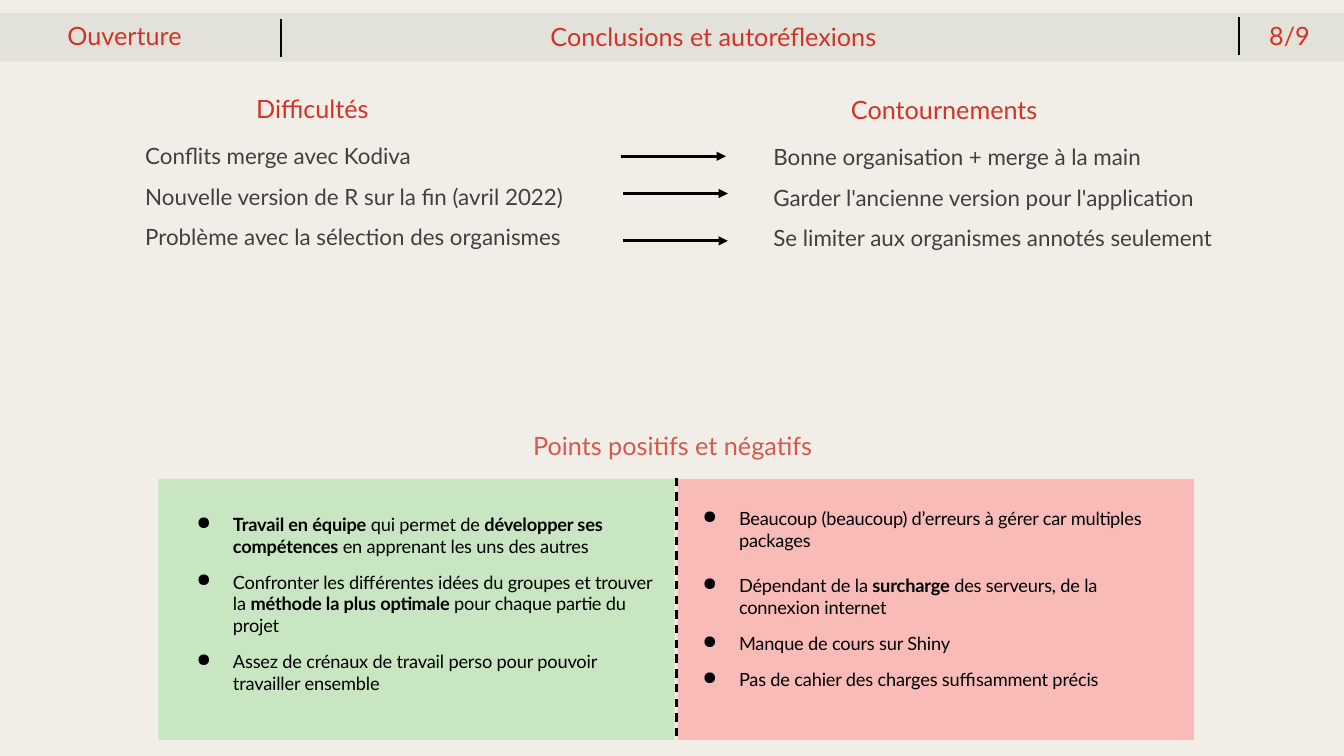
from lxml import etree
from pptx import Presentation, util as u
from pptx.dml.color import RGBColor
from pptx.enum import dml, shapes, text
from pptx.oxml.ns import qn

WIDTH, HEIGHT = 13.33, 7.5
RED, GREY, BLACK = "D23328", "404040", "000000"
LABEL_HEIGHT = 0.4
PANEL_WIDTH, PANEL_HEIGHT, PANEL_TOP = 5.12, 2.59, 4.75

deck = Presentation()
deck.slide_width, deck.slide_height = u.Inches(WIDTH), u.Inches(HEIGHT)
slide = deck.slides.add_slide(deck.slide_layouts[4])
slide.background.fill.solid()
slide.background.fill.fore_color.rgb = RGBColor.from_string("F1EEE7")
title, difficulty_head, difficulties, workaround_head, workarounds = slide.placeholders


def write(area, box, lines, size, colour, bullet=None, line_spacing=1, gaps=()):
    """Fill a text area; pieces between ** marks are bold, gaps are points before each line."""
    area.left, area.top, area.width, area.height = map(u.Inches, box)
    frame = area.text_frame
    frame.text = "\n".join(lines)
    frame.word_wrap = bool(bullet)
    frame.auto_size = text.MSO_AUTO_SIZE.NONE
    frame.vertical_anchor = text.MSO_ANCHOR.TOP
    if bullet:
        frame.margin_left = frame.margin_right = frame.margin_bottom = 0
        frame.margin_top = u.Inches(0.02)
    for row, paragraph in enumerate(frame.paragraphs):
        properties = paragraph._p.get_or_add_pPr()
        properties.set("marL", str(u.Inches(0.37) if bullet else 0))
        properties.set("indent", str(u.Inches(-0.36) if bullet else 0))
        if bullet:
            etree.SubElement(properties, qn("a:buChar")).set("char", bullet)
        else:
            etree.SubElement(properties, qn("a:buNone"))
        paragraph.alignment = text.PP_ALIGN.LEFT
        paragraph.line_spacing = line_spacing
        paragraph.space_before = u.Pt(gaps[row] if gaps else 0)
        pieces = paragraph.text.split("**")
        paragraph.clear()
        for number, piece in enumerate(pieces):
            if not piece:
                continue
            run = paragraph.add_run()
            run.text = piece
            run.font.name, run.font.size = "Lato", u.Pt(size)
            run.font.bold = number % 2 == 1
            run.font.color.rgb = RGBColor.from_string(colour)
            if bullet:
                run._r.get_or_add_rPr().set("spc", "-10")


def draw_line(start, end, weight):
    line = slide.shapes.add_connector(
        shapes.MSO_CONNECTOR.STRAIGHT, *map(u.Inches, (*start, *end)))
    line.line.color.rgb = RGBColor.from_string(BLACK)
    line.line.width = u.Pt(weight)
    etree.SubElement(line._element.spPr, qn("a:effectLst"))
    return line


# Header band and the two panels, placed behind the text
blocks = [
    ((0, 0.13, WIDTH, 0.48), "E2E2DA", 100),
    ((1.57, PANEL_TOP, PANEL_WIDTH, PANEL_HEIGHT), "A9E1A5", 55),
    ((6.72, PANEL_TOP, PANEL_WIDTH, PANEL_HEIGHT), "FF9696", 57),
]
for box, colour, opacity in blocks:
    block = slide.shapes.add_shape(shapes.MSO_SHAPE.RECTANGLE, *map(u.Inches, box))
    block.shadow.inherit = False
    block.line.fill.background()
    block.fill.solid()
    block.fill.fore_color.rgb = RGBColor.from_string(colour)
    if opacity < 100:
        fill_colour = block._element.spPr.find(".//" + qn("a:srgbClr"))
        etree.SubElement(fill_colour, qn("a:alpha")).set("val", str(opacity * 1000))
    slide.shapes._spTree.insert(2, block._element)

# Header and section labels
section, page, balance_head = [slide.shapes.add_textbox(0, 0, 0, 0) for _ in range(3)]
labels = [
    (section, 0.57, 0.15, 1.41, "Ouverture", RED),
    (title, 5.36, 0.16, 3.56, "Conclusions et autoréflexions", RED),
    (page, 12.49, 0.15, 0.64, "8/9", RED),
    (difficulty_head, 2.44, 0.88, 1.34, "Difficultés", RED),
    (workaround_head, 8.34, 0.89, 2.08, "Contournements", RED),
    (balance_head, 5.19, 4.22, 3.07, "Points positifs et négatifs", "D6584E"),
]
for area, left, top, width, label, colour in labels:
    write(area, (left, top, width, LABEL_HEIGHT), [label], 18, colour)
for x, top in [(2.79, 0.19), (12.29, 0.17)]:
    draw_line((x, top), (x, top + 0.38), 1.5)

# Difficulties and their workarounds
write(difficulties, (1.34, 1.23, 4.55, 1.26), [
    "Conflits merge avec Kodiva",
    "Nouvelle version de R sur la fin (avril 2022)",
    "Problème avec la sélection des organismes",
], 16, GREY, line_spacing=1.5)
write(workarounds, (7.57, 1.24, 4.83, 1.26), [
    "Bonne organisation + merge à la main",
    "Garder l'ancienne version pour l'application",
    "Se limiter aux organismes annotés seulement",
], 16, GREY, line_spacing=1.5)
for x, y in [(6.16, 1.55), (6.18, 1.92), (6.18, 2.39)]:
    arrow = draw_line((x, y), (x + 1.04, y), 2.25)
    etree.SubElement(arrow.line._get_or_add_ln(), qn("a:tailEnd")).set("type", "triangle")

# Positive and negative points
divider = draw_line((6.71, 4.74), (6.71, 7.33), 1.5)
divider.line.dash_style = dml.MSO_LINE.DASH
positives, negatives = [slide.shapes.add_textbox(0, 0, 0, 0) for _ in range(2)]
write(positives, (1.94, 5.07, 4.65, 1.83), [
    "**Travail en équipe** qui permet de **développer ses compétences** "
    "en apprenant les uns des autres",
    "Confronter les différentes idées du groupes et trouver la "
    "**méthode la plus optimale** pour chaque partie du projet",
    "Assez de crénaux de travail perso pour pouvoir travailler ensemble",
], 13, BLACK, bullet="●", gaps=(0, 10, 10))
write(negatives, (6.96, 5.01, 4.54, 1.85), [
    "Beaucoup (beaucoup) d’erreurs à gérer car multiples packages",
    "Dépendant de la **surcharge** des serveurs, de la connexion internet",
    "Manque de cours sur Shiny",
    "Pas de cahier des charges suffisamment précis",
], 13, BLACK, bullet="●", gaps=(0, 17, 10, 10))

deck.save("out.pptx")
